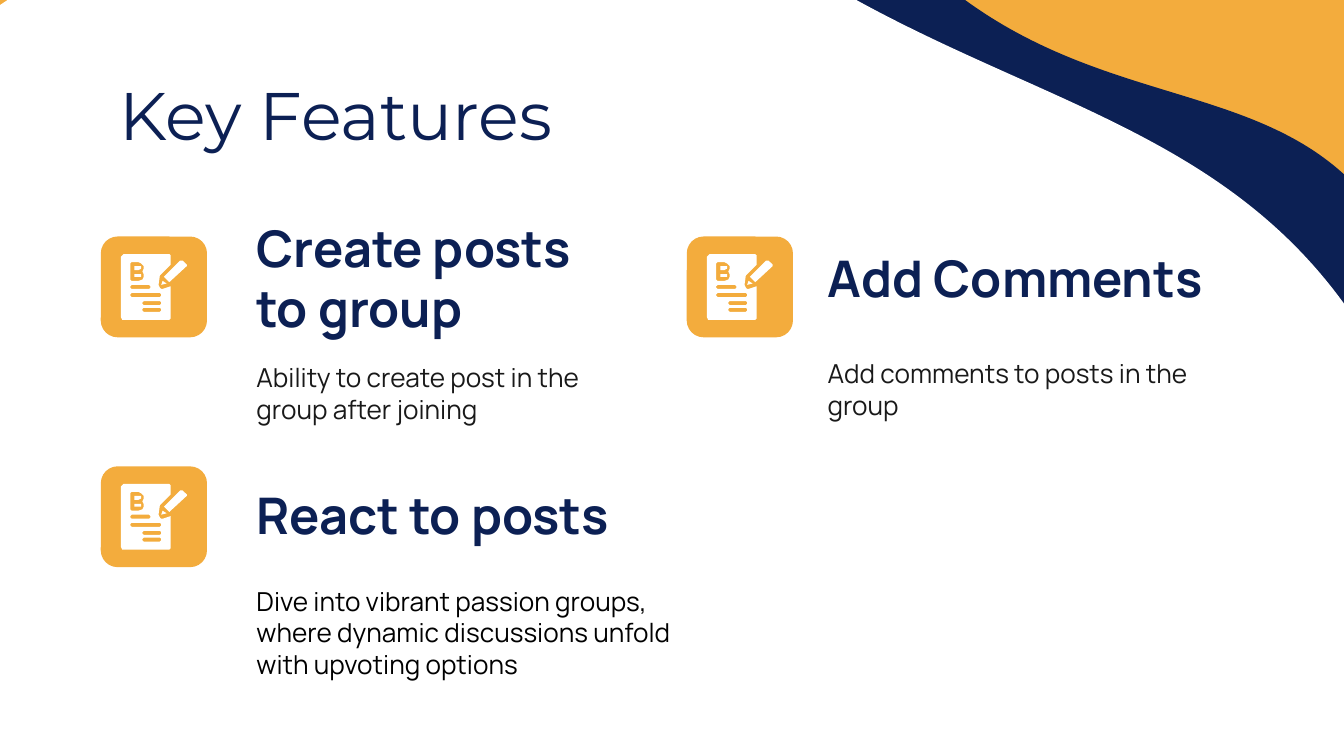
from dataclasses import dataclass

from pptx import Presentation
from pptx.dml.color import RGBColor
from pptx.enum.shapes import MSO_SHAPE as Shape
from pptx.enum.text import MSO_ANCHOR as Anchor, MSO_AUTO_SIZE as AutoSize, PP_ALIGN as Align
from pptx.util import Inches, Pt


@dataclass(frozen=True)
class Theme:
    orange: str = "F3AC3D"
    navy: str = "0C2054"
    white: str = "FFFFFF"
    grey: str = "191919"
    black: str = "000000"
    title_font: str = "Montserrat"
    body_font: str = "Manrope"
    title_size: int = 36
    heading_size: int = 27
    body_size: int = 14
    line_spacing: float = 1.0
    inset: float = 0.1


THEME = Theme()
WIDTH = 10
HEIGHT = WIDTH * 9 / 16
TITLE_LAYOUT = 5

# Grid: left edges of icons and texts by column, top edges of icons by row
ICON_COLUMNS = (0.75, 5.11)
TEXT_COLUMNS = (1.81, 6.06)
ICON_ROWS = (1.76, 3.47)
TILE_WIDTH, TILE_HEIGHT = 0.79, 0.75
HEADING_HEIGHT = 0.83

# column, row, heading, heading top and width, body, body top, width, height, colour
FEATURES = (
    (0, 0, "Create posts to group", 1.65, 2.99,
     "Ability to create post in the group after joining", 2.69, 3.14, 0.47, THEME.grey),
    (1, 0, "Add Comments", 1.65, 3.6,
     "Add comments to posts in the group", 2.63, 3.14, 0.53, THEME.grey),
    (0, 1, "React to posts", 3.41, 3.14,
     "Dive into vibrant passion groups, where dynamic discussions unfold with upvoting options",
     4.08, 3.49, 1.25, THEME.black),
)

# Icon outlines, in hundredths of an inch from the tile's corner
PAGE = ((15, 15), (15.5, 13.5), (17, 13), (51, 13), (52, 13.5), (52, 21), (44, 29),
        (43, 36), (43.5, 38), (45, 39), (46, 39), (52, 37), (52, 61), (51, 62),
        (17, 62), (15.5, 61.5), (15, 60))
LETTER = ((28, 19), (30.5, 20), (32, 22), (32, 24.5), (31, 26), (32.5, 28), (32.5, 30),
          (31, 32.5), (28, 33), (23, 33), (22, 32), (22, 20), (23, 19))
UPPER_BOWL = ((25, 22), (28, 22), (29.5, 22.5), (29.5, 24.5), (28, 25), (25, 25))
LOWER_BOWL = ((25, 28), (28, 28), (29.5, 28.5), (29.5, 30), (28, 30.5), (25, 30.5))
PENCIL_TIP = ((46, 33), (45, 36), (49, 35))
PENCIL = ((60, 18), (59, 18), (47, 30), (51, 34), (64, 22), (64, 21), (61, 18))
TEXT_LINES = ((23, 36, 36), (23, 44, 42), (32, 44, 48), (32, 44, 53))


def paint(shape, color):
    shape.shadow.inherit = False
    shape.fill.solid()
    shape.fill.fore_color.rgb = RGBColor.from_string(color)
    shape.line.fill.background()


def add_shape(page, kind, left, top, width, height, color):
    shape = page.shapes.add_shape(
        kind, Inches(left), Inches(top), Inches(width), Inches(height))
    paint(shape, color)
    return shape


def add_waves(page):
    waves = ((3.16, -1.32, 5.67, 8.86, 232.8, THEME.navy),
             (-2.15, -2.88, 10.31, 14.22, 236.6, THEME.white))
    for left, top, width, height, angle, color in waves:
        wave = add_shape(page, Shape.FLOWCHART_DOCUMENT, left, top, width, height, color)
        wave.rotation = angle


def write_text(box, text, font, size, color, bold=False):
    frame = box.text_frame
    frame.word_wrap = True
    frame.auto_size = AutoSize.NONE
    frame.vertical_anchor = Anchor.MIDDLE
    frame.margin_left = frame.margin_right = Inches(THEME.inset)
    frame.margin_top = frame.margin_bottom = Inches(THEME.inset)
    para = frame.paragraphs[0]
    para.alignment = Align.LEFT
    para.line_spacing = THEME.line_spacing
    span = para.add_run()
    span.text = text
    span.font.name = font
    span.font.size = Pt(size)
    span.font.bold = bold
    span.font.color.rgb = RGBColor.from_string(color)


def add_title(page, text):
    title = page.shapes.title
    title.left, title.top = Inches(0.79), Inches(0.58)
    title.width, title.height = Inches(8.43), Inches(0.53)
    write_text(title, text, THEME.title_font, THEME.title_size, THEME.navy)


def add_text(page, left, top, width, height, text, size, color, bold=False):
    box = page.shapes.add_textbox(
        Inches(left), Inches(top), Inches(width), Inches(height))
    write_text(box, text, THEME.body_font, size, color, bold)


def text_line(left, right, top):
    """Outline of a bar with rounded ends, three units high."""
    return ((left, top), (right, top), (right + 1, top + 1), (right + 1, top + 2),
            (right, top + 3), (left, top + 3), (left - 1, top + 2), (left - 1, top + 1))


def add_outline(group, left, top, contours):
    """Draw closed contours as one shape; inner contours become holes."""
    builder = group.shapes.build_freeform(*contours[0][0], scale=Inches(0.01))
    for index, contour in enumerate(contours):
        if index:
            builder.move_to(*contour[0])
        builder.add_line_segments(contour[1:], close=True)
    paint(builder.convert_to_shape(Inches(left), Inches(top)), THEME.white)


def add_icon(page, left, top):
    add_shape(page, Shape.ROUNDED_RECTANGLE, left, top, TILE_WIDTH, TILE_HEIGHT, THEME.orange)
    group = page.shapes.add_group_shape()
    lines = [text_line(*line) for line in TEXT_LINES]
    for contours in ([UPPER_BOWL], [LOWER_BOWL], [PAGE, LETTER, *lines], [PENCIL_TIP], [PENCIL]):
        add_outline(group, left, top, contours)


def add_feature(page, column, row, heading, heading_top, heading_width,
                body, body_top, body_width, body_height, body_color):
    add_icon(page, ICON_COLUMNS[column], ICON_ROWS[row])
    left = TEXT_COLUMNS[column]
    add_text(page, left, heading_top, heading_width, HEADING_HEIGHT,
             heading, THEME.heading_size, THEME.navy, bold=True)
    add_text(page, left, body_top, body_width, body_height,
             body, THEME.body_size, body_color)


def main():
    deck = Presentation()
    deck.slide_width, deck.slide_height = Inches(WIDTH), Inches(HEIGHT)
    page = deck.slides.add_slide(deck.slide_layouts[TITLE_LAYOUT])
    page.background.fill.solid()
    page.background.fill.fore_color.rgb = RGBColor.from_string(THEME.orange)
    add_waves(page)
    # The title comes first in the layout, so bring it in front of the waves
    tree = page.shapes.title.element.getparent()
    tree.append(page.shapes.title.element)
    add_title(page, "Key Features")
    for feature in FEATURES:
        add_feature(page, *feature)
    deck.save("out.pptx")


if __name__ == "__main__":
    main()
